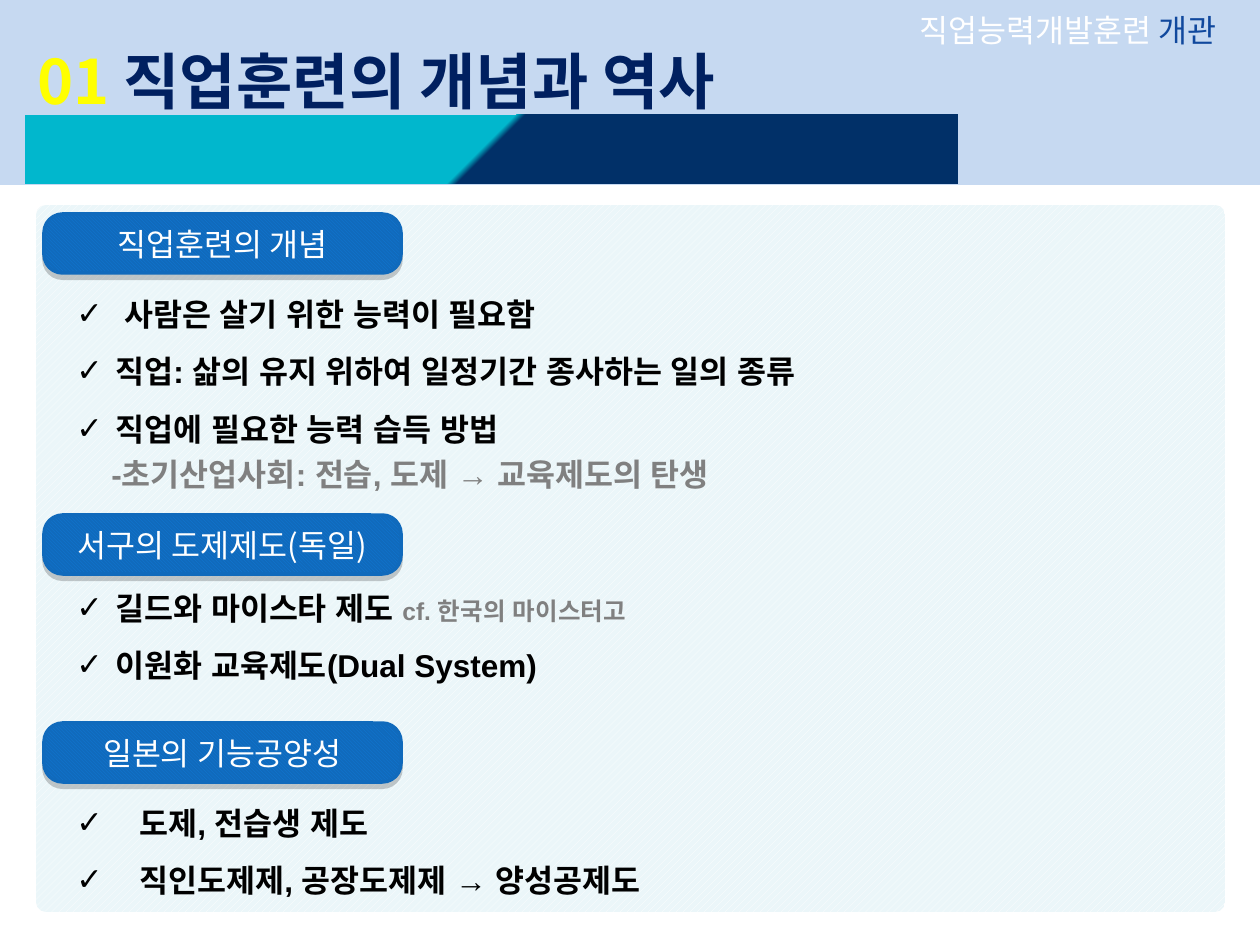
from lxml.etree import SubElement
from pptx import Presentation
from pptx.dml.color import RGBColor
from pptx.enum.dml import MSO_PATTERN
from pptx.enum.shapes import MSO_SHAPE
from pptx.enum.text import MSO_ANCHOR, PP_ALIGN
from pptx.oxml.ns import qn
from pptx.util import Emu, Pt

WHITE = RGBColor(0xFF, 0xFF, 0xFF)
BLACK = RGBColor(0x00, 0x00, 0x00)
GREY = RGBColor(0x80, 0x80, 0x80)
YELLOW = RGBColor(0xFF, 0xFF, 0x00)
NAVY = RGBColor(0x00, 0x20, 0x60)
ROYAL = RGBColor(0x10, 0x48, 0x9D)
PALE_BLUE = RGBColor(0xC6, 0xD9, 0xF1)
PALE_TEAL = RGBColor(0xEB, 0xF6, 0xF9)
CYAN = RGBColor(0x01, 0xB7, 0xCD)
DEEP_BLUE = RGBColor(0x01, 0x30, 0x68)
TAG_BLUE = RGBColor(0x10, 0x6A, 0xBC)
TAG_STRIPE = RGBColor(0x12, 0x7A, 0xD8)

KOREAN = "Noto Sans CJK KR"
LATIN = "Arial"

TITLE = [[("01 ", YELLOW, 35), ("직업훈련의 개념과 역사", NAVY, 35)]]
COURSE = [[("직업능력개발훈련", WHITE, 18), (" 개관", ROYAL, 18)]]
SECTIONS = [
    {
        "heading": "직업훈련의 개념", "tag_top": 214, "list_top": 281, "hang": 39,
        "points": [
            [(" 사람은 살기 위한 능력이 필요함", BLACK, 18)],
            [("직업: 삶의 유지 위하여 일정기간 종사하는 일의 종류", BLACK, 18)],
            [("직업에 필요한 능력 습득 방법", BLACK, 18)],
        ],
        "detail": [("-초기산업사회: 전습, 도제 → 교육제도의 탄생", GREY, 18)],
    },
    {
        "heading": "서구의 도제제도(독일)", "tag_top": 515, "list_top": 575, "hang": 39,
        "points": [
            [("길드와 마이스타 제도 ", BLACK, 18), ("cf. 한국의 마이스터고", GREY, 14)],
            [("이원화 교육제도(Dual System)", BLACK, 18)],
        ],
    },
    {
        "heading": "일본의 기능공양성", "tag_top": 723, "list_top": 790, "hang": 63,
        "points": [
            [("도제, 전습생 제도", BLACK, 18)],
            [("직인도제제, 공장도제제 → 양성공제도", BLACK, 18)],
        ],
    },
]
POINT_GAP = Pt(6.9)
DETAIL_INDENT = 35


def px(length):
    return Emu(round(length * 914400 / 126))


def add_block(kind, box):
    block = slide.shapes.add_shape(kind, *map(px, box))
    block.shadow.inherit = False
    block.line.fill.background()
    return block


def fill_pattern(block, pattern, front, back):
    block.fill.patterned()
    block.fill.pattern = pattern
    block.fill.fore_color.rgb = front
    block.fill.back_color.rgb = back


def write(frame, paragraphs, font=KOREAN, bold=False, align=PP_ALIGN.LEFT,
          spacing=1.0, wrap=True, anchor=MSO_ANCHOR.TOP):
    frame.word_wrap = wrap
    frame.vertical_anchor = anchor
    for index, runs in enumerate(paragraphs):
        paragraph = frame.add_paragraph() if index else frame.paragraphs[0]
        paragraph.alignment = align
        paragraph.line_spacing = spacing
        for words, color, size in runs:
            run = paragraph.add_run()
            run.text = words
            run.font.name = font
            run.font.size = Pt(size)
            run.font.bold = bold
            run.font.color.rgb = color
            SubElement(run.font._element, qn("a:ea"), typeface=font)


def add_text(box, paragraphs, **text_format):
    frame = slide.shapes.add_textbox(*map(px, box)).text_frame
    write(frame, paragraphs, **text_format)
    return frame


def indent(paragraph, left, first=0):
    properties = paragraph._p.get_or_add_pPr()
    properties.set("marL", str(px(left)))
    properties.set("indent", str(px(first)))
    return properties


def add_tag(heading, top):
    tag = add_block(MSO_SHAPE.ROUNDED_RECTANGLE, (44, top, 357, 59))
    tag.adjustments[0] = 0.316
    fill_pattern(tag, MSO_PATTERN.LIGHT_DOWNWARD_DIAGONAL, TAG_STRIPE, TAG_BLUE)
    tag.line.color.rgb = TAG_BLUE
    tag.line.width = Pt(2)
    effects = tag._element.spPr.find(qn("a:effectLst"))
    shadow = SubElement(effects, qn("a:outerShdw"), blurRad="0",
                        dist=str(Pt(3)), dir="5400000", rotWithShape="0")
    shade = SubElement(shadow, qn("a:srgbClr"), val=str(BLACK))
    SubElement(shade, qn("a:alpha"), val="20000")
    write(tag.text_frame, [[(heading, WHITE, 18)]],
          align=PP_ALIGN.CENTER, anchor=MSO_ANCHOR.MIDDLE)


def add_points(section):
    points = section["points"]
    details = [section["detail"]] if "detail" in section else []
    height = 13 + 58 * len(points) + 46 * len(details)
    frame = add_text((64, section["list_top"], 1101, height), points + details,
                     font=LATIN, bold=True, align=PP_ALIGN.JUSTIFY, spacing=1.2)
    for index, paragraph in enumerate(frame.paragraphs):
        if index >= len(points):
            indent(paragraph, DETAIL_INDENT)
            continue
        if index:
            paragraph.space_before = POINT_GAP
        properties = indent(paragraph, section["hang"], -section["hang"])
        SubElement(properties, qn("a:buFont"), typeface=LATIN)
        SubElement(properties, qn("a:buChar"), char="✓")


presentation = Presentation()
presentation.slide_width, presentation.slide_height = px(1260), px(945)
slide = presentation.slides.add_slide(presentation.slide_layouts[6])
slide.background.fill.solid()
slide.background.fill.fore_color.rgb = WHITE

panel = add_block(MSO_SHAPE.ROUNDED_RECTANGLE, (36, 205, 1189, 707))
panel.adjustments[0] = 0.014
fill_pattern(panel, MSO_PATTERN.WIDE_UPWARD_DIAGONAL, WHITE, PALE_TEAL)

header = add_block(MSO_SHAPE.RECTANGLE, (0, 0, 1260, 185))
header.fill.solid()
header.fill.fore_color.rgb = PALE_BLUE
add_text((25, 0, 842, 123), TITLE, bold=True, spacing=1.5)
add_text((907, 5, 354, 50), COURSE, wrap=False)

banner = add_block(MSO_SHAPE.RECTANGLE, (25, 115, 933, 69))
banner.fill.gradient()
banner.fill.gradient_angle = 315
for stop, color, position in zip(banner.fill.gradient_stops, (CYAN, DEEP_BLUE), (0.49, 0.5)):
    stop.color.rgb = color
    stop.position = position

for section in SECTIONS:
    add_tag(section["heading"], section["tag_top"])
    add_points(section)

presentation.save("out.pptx")
